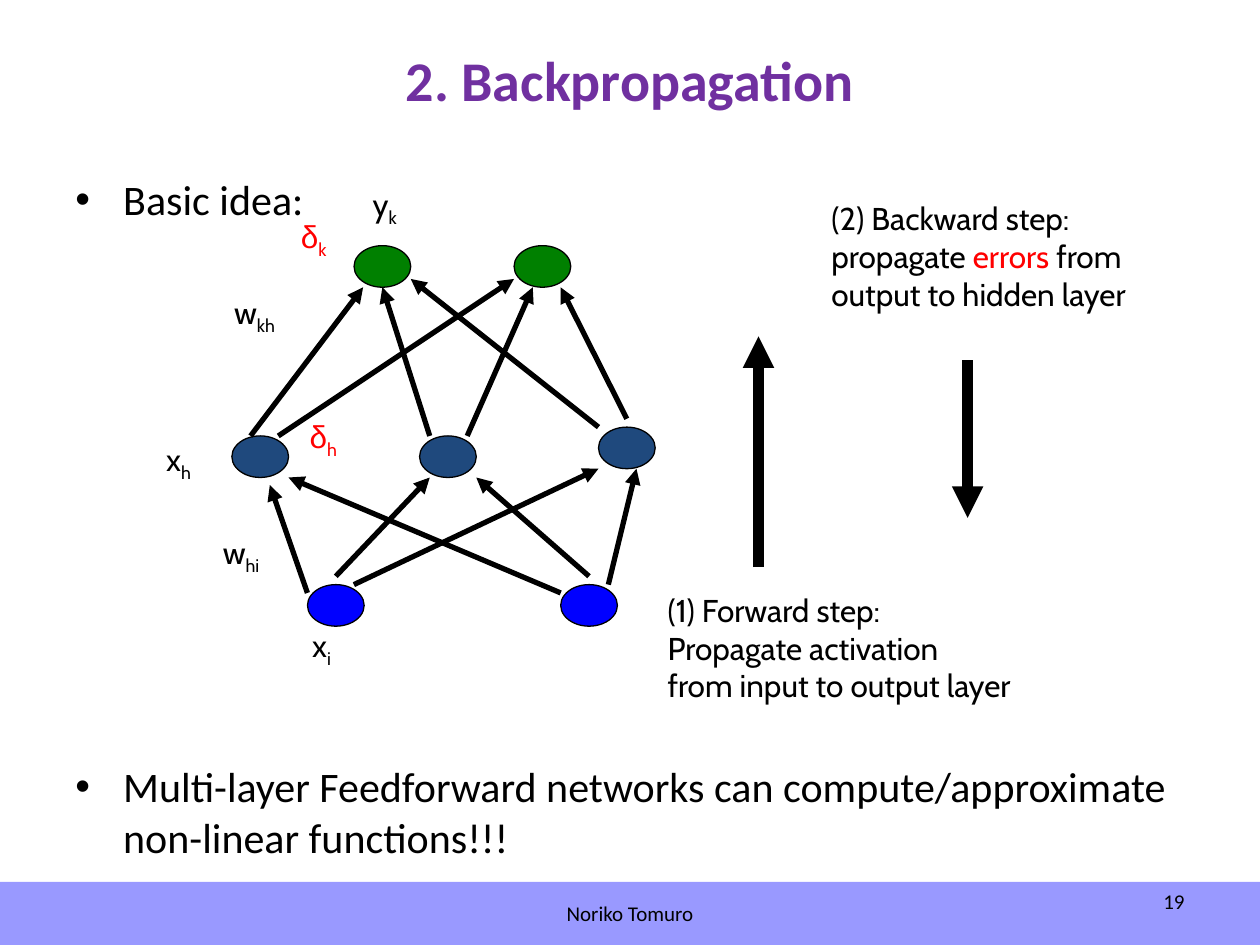
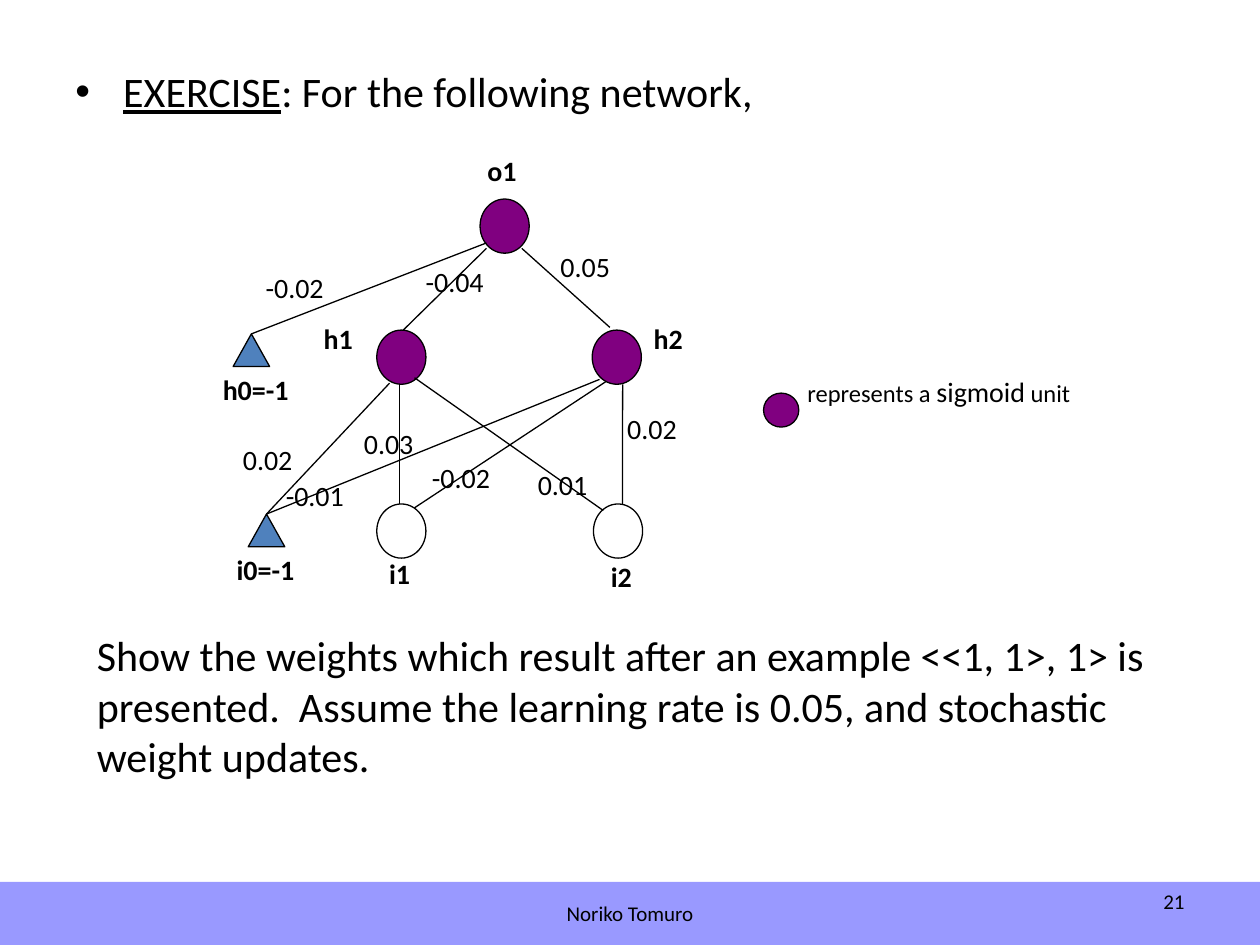
from lxml import etree
from pptx import Presentation
from pptx.dml.color import RGBColor
from pptx.enum.shapes import MSO_CONNECTOR, MSO_SHAPE
from pptx.enum.text import MSO_ANCHOR, PP_ALIGN
from pptx.oxml.ns import qn
from pptx.util import Inches, Pt

STRAIGHT = MSO_CONNECTOR.STRAIGHT
OVAL, TRIANGLE, RECTANGLE = MSO_SHAPE.OVAL, MSO_SHAPE.ISOSCELES_TRIANGLE, MSO_SHAPE.RECTANGLE
MIDDLE = MSO_ANCHOR.MIDDLE
LEFT, CENTER, RIGHT = PP_ALIGN.LEFT, PP_ALIGN.CENTER, PP_ALIGN.RIGHT


class Theme:
    black, red, title = "000000", "FF0000", "7030A0"
    band, output, hidden, input = "9999FF", "008000", "1F497D", "0000FF"
    sigmoid, bias = "800080", "4F81BD"
    heading_text = dict(name="Calibri", size=Pt(32), bold=True, color=title)
    body_text = dict(name="Calibri", size=Pt(24), color=black)
    footer_text = dict(name="Calibri", size=Pt(12), color=black)
    weight_text = dict(name="Calibri", size=Pt(16), color=black)
    unit_text = dict(weight_text, bold=True)
    legend_text = dict(weight_text, size=Pt(14))
    symbol_text = dict(name="Cabin", size=Pt(18), color=black)


prs = Presentation()
prs.slide_width, prs.slide_height = Inches(10), Inches(7.5)
CELL = prs.slide_width // 10  # grid of 10 columns by 7.5 rows


def write(frame, paragraphs, style, align=LEFT):
    """Fill a text frame; each paragraph is a list of (text, format changes) runs."""
    frame.word_wrap = True
    for number, runs in enumerate(paragraphs):
        paragraph = frame.add_paragraph() if number else frame.paragraphs[0]
        paragraph.alignment = align
        for text, changes in runs:
            run = paragraph.add_run()
            run.text = text
            for key, value in {**style, **changes}.items():
                if key == "color":
                    run.font.color.rgb = RGBColor.from_string(value)
                elif key == "baseline":
                    run.font._element.set("baseline", value)
                else:
                    setattr(run.font, key, value)


def link(slide, start, end, width, arrow):
    """Draw a black line between two grid points, with an arrowhead at its end if asked."""
    line = slide.shapes.add_connector(STRAIGHT, *(int(v * CELL) for v in (*start, *end)))
    line.line.color.rgb = RGBColor.from_string(Theme.black)
    line.line.width = Pt(width)
    if arrow:
        etree.SubElement(line.line._get_or_add_ln(), qn("a:tailEnd"), type="triangle")
    etree.SubElement(line._element.spPr, qn("a:effectLst"))


# Slides with the shared footer band
idea = prs.slides.add_slide(prs.slide_layouts[5])
exercise = prs.slides.add_slide(prs.slide_layouts[6])
for slide, page in ((idea, "19"), (exercise, "21")):
    band = slide.shapes.add_shape(RECTANGLE, 0, 7 * CELL, 10 * CELL, CELL // 2)
    band.shadow.inherit = False
    band.fill.solid()
    band.fill.fore_color.rgb = RGBColor.from_string(Theme.band)
    band.line.fill.background()
    band.text_frame.vertical_anchor = MIDDLE
    write(band.text_frame, [[("Noriko Tomuro", {})]], Theme.footer_text, CENTER)
    page_number = slide.shapes.add_textbox(*(int(v * CELL) for v in (7.17, 6.95, 2.33, 0.4)))
    page_number.text_frame.vertical_anchor = MIDDLE
    write(page_number.text_frame, [[(page, {})]], Theme.footer_text, RIGHT)

# Title
heading = idea.shapes.title
heading.left, heading.top, heading.width, heading.height = (
    int(v * CELL) for v in (0.5, 0, 9, 1.25))
heading.text_frame.vertical_anchor = MIDDLE
write(heading.text_frame, [[("2. Backpropagation", {})]], Theme.heading_text, CENTER)

# Bulleted points
for slide, top, runs in (
    (idea, 1.33, [("Basic idea:", {})]),
    (idea, 5.99, [("Multi-layer Feedforward networks can compute/approximate "
                   "non-linear functions!!!", {})]),
    (exercise, 0.47, [("EXERCISE", dict(underline=True)),
                      (": For the following network,", {})]),
):
    point = slide.shapes.add_textbox(*(int(v * CELL) for v in (0.5, top, 9, 0.9)))
    write(point.text_frame, [runs], Theme.body_text)
    layout = point.text_frame.paragraphs[0]._p.get_or_add_pPr()
    layout.set("marL", str(Inches(0.38)))
    layout.set("indent", str(Inches(-0.38)))
    etree.SubElement(layout, qn("a:buFont"), typeface="Arial")
    etree.SubElement(layout, qn("a:buChar"), char="•")

# Units: kind -> (shape, width, height, fill); name -> (kind, left, top)
kinds = {
    "output": (OVAL, 0.45, 0.33, Theme.output),
    "hidden": (OVAL, 0.45, 0.33, Theme.hidden),
    "input": (OVAL, 0.45, 0.33, Theme.input),
    "sigmoid": (OVAL, 0.39, 0.43, Theme.sigmoid),
    "plain": (OVAL, 0.39, 0.43, None),
    "bias": (TRIANGLE, 0.29, 0.26, Theme.bias),
    "legend": (OVAL, 0.28, 0.27, Theme.sigmoid),
}
idea_units = {
    "i1": ("input", 2.44, 4.64), "i2": ("input", 4.45, 4.64),
    "h1": ("hidden", 1.84, 3.46), "h2": ("hidden", 3.33, 3.46), "h3": ("hidden", 4.75, 3.39),
    "o1": ("output", 2.81, 1.95), "o2": ("output", 4.08, 1.95),
}
exercise_units = {
    "o1": ("sigmoid", 3.81, 1.58),
    "h0": ("bias", 1.85, 2.65), "h1": ("sigmoid", 2.99, 2.62), "h2": ("sigmoid", 4.7, 2.62),
    "i0": ("bias", 1.97, 4.08), "i1": ("plain", 2.99, 4), "i2": ("plain", 4.71, 4),
    "legend": ("legend", 6.06, 3.12),
}

# Links: each end is a unit and a point given as shares of its width and height
idea_links = [
    ("i1", 0.82, 0, "h3", 0, 1), ("i1", 0.5, -0.2, "h2", 0.18, 1),
    ("i1", 0, 0.2, "h1", 0.67, 1.18), ("i2", 0.84, 0, "h3", 0.67, 1),
    ("i2", 0.5, -0.2, "h2", 1, 1), ("i2", 0, 0.2, "h1", 1, 1),
    ("h3", 0, 0, "o1", 1, 0.8), ("h3", 0.5, -0.2, "o2", 0.82, 1),
    ("h2", 0.84, 0, "o2", 0.33, 1), ("h2", 0.18, 0, "o1", 0.5, 1),
    ("h1", 0.82, 0, "o2", 0, 0.8), ("h1", 0.33, 0, "o1", 0.16, 1),
]
exercise_links = [
    ("h1", 0.46, 1, "i1", 0.46, 0), ("h1", 0.77, 0.88, "i2", 0.2, 0.12),
    ("h2", 0.62, 1, "i2", 0.59, 0), ("h2", 0.28, 0.95, "i1", 0.77, 0.07),
    ("o1", 0.13, 0.91, "h1", 0.54, 0), ("o1", 0.85, 0.91, "h2", 0.36, -0.05),
    ("i0", 0.5, 0, "h2", 0.15, 0.91), ("i0", 0.5, 0, "h1", 0.26, 0.98),
    ("h0", 0.5, 0, "o1", 0.13, 0.81),
]

# Both networks
for slide, units, links, width, arrow in (
    (idea, idea_units, idea_links, 3, True),
    (exercise, exercise_units, exercise_links, 0.75, False),
):
    for kind, left, top in units.values():
        outline, wide, high, colour = kinds[kind]
        unit = slide.shapes.add_shape(outline, *(int(v * CELL) for v in (left, top, wide, high)))
        unit.shadow.inherit = False
        unit.line.color.rgb = RGBColor.from_string(Theme.black)
        unit.line.width = Pt(0.75)
        if colour:
            unit.fill.solid()
            unit.fill.fore_color.rgb = RGBColor.from_string(colour)
        else:
            unit.fill.background()
    for source, *start, target, x, y in links:
        ends = []
        for name, (across, down) in ((source, start), (target, (x, y))):
            kind, left, top = units[name]
            ends.append((left + across * kinds[kind][1], top + down * kinds[kind][2]))
        link(slide, *ends, width, arrow)

# Direction of the forward and backward steps
link(idea, (6.02, 4.5), (6.02, 2.67), 6, True)
link(idea, (7.68, 2.86), (7.68, 4.11), 6, True)

# Symbols with subscripts
for left, top, symbol, index in (
    (2.86, 1.42, "y", "k"), (1.22, 3.44, "x", "h"), (2.38, 4.92, "x", "i"),
    (1.67, 4.18, "w", "hi"), (1.76, 2.28, "w", "kh"),
    (2.29, 1.67, "δ", "k"), (2.36, 3.26, "δ", "h"),
):
    error = symbol == "δ"
    style = dict(Theme.symbol_text, color=Theme.red if error else Theme.black)
    label = idea.shapes.add_textbox(*(int(v * CELL) for v in (left, top, 0.93, 0.55)))
    write(label.text_frame, [[(symbol, dict(name="Arial") if error else {}),
                              (index, dict(baseline="-25000"))]], style)

# Unit names and weights of the exercise
for style, labels in (
    (Theme.unit_text, (
        (3.77, 1.17, "o1"), (1.67, 2.91, "h0=-1"), (2.47, 2.5, "h1"), (5.09, 2.5, "h2"),
        (1.78, 4.34, "i0=-1"), (2.99, 4.37, "i1"), (4.75, 4.39, "i2"))),
    (Theme.weight_text, (
        (2.01, 2.1, "-0.02"), (3.28, 2.05, "-0.04"), (4.35, 1.93, "0.05"),
        (1.83, 3.46, "0.02"), (2.17, 3.75, "-0.01"), (2.79, 3.34, "0.03"),
        (3.33, 3.61, "-0.02"), (4.17, 3.66, "0.01"), (4.88, 3.22, "0.02"))),
):
    for left, top, text in labels:
        label = exercise.shapes.add_textbox(*(int(v * CELL) for v in (left, top, 0.9, 0.37)))
        write(label.text_frame, [[(text, {})]], style)

# Explanations, legend and task
for slide, box, style, paragraphs in (
    (idea, (6.5, 1.53, 3.25, 1.01), Theme.symbol_text, [
        [("(2) Backward step:", {})],
        [("propagate ", {}), ("errors", dict(color=Theme.red)),
         (" from output to hidden layer", {})]]),
    (idea, (5.2, 4.64, 3.25, 1.01), Theme.symbol_text, [
        [("(1) Forward step:", {})],
        [("Propagate activation", {})],
        [("from input to output layer", {})]]),
    (exercise, (6.31, 2.92, 2.5, 0.37), Theme.legend_text, [
        [("represents a ", {}), ("sigmoid", dict(size=Pt(16))), (" unit", {})]]),
    (exercise, (0.67, 4.95, 8.58, 1.31), Theme.body_text, [
        [("Show the weights which result after an example <<1, 1>, 1> is presented.  "
          "Assume the learning rate is 0.05, and stochastic weight updates.", {})]]),
):
    note = slide.shapes.add_textbox(*(int(v * CELL) for v in box))
    write(note.text_frame, paragraphs, style)

prs.save("out.pptx")
